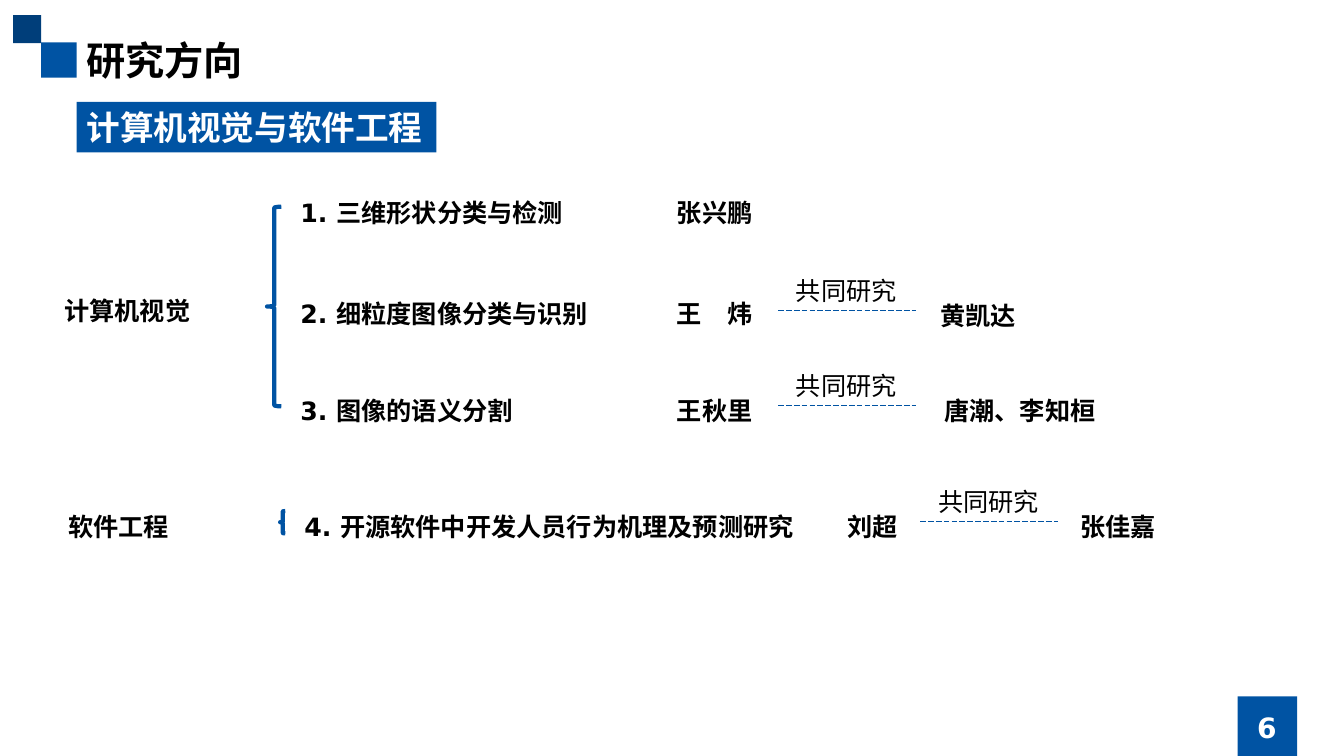
from pptx import Presentation
from pptx.dml.color import RGBColor
from pptx.enum.dml import MSO_LINE
from pptx.enum.shapes import MSO_CONNECTOR, MSO_SHAPE
from pptx.enum.text import MSO_ANCHOR, PP_ALIGN
from pptx.oxml.ns import qn
from pptx.util import Cm, Pt
from lxml.etree import SubElement


def color(code):
    return RGBColor.from_string(code)


class SlideBuilder:
    BLUE = "0053A3"
    NAVY = "003E7A"
    BLACK = "000000"
    WHITE = "FFFFFF"
    FONT = "DejaVu Sans"
    TITLE_FONT = "Noto Sans CJK SC"
    ROW_HEIGHT = 1.24

    def __init__(self, slide):
        self.slide = slide

    def block(self, left, top, width, height, fill):
        block = self.slide.shapes.add_shape(
            MSO_SHAPE.RECTANGLE, Cm(left), Cm(top), Cm(width), Cm(height))
        block.shadow.inherit = False
        block.fill.solid()
        block.fill.fore_color.rgb = color(fill)
        block.line.fill.background()
        return block

    def fill_text(self, holder, words, size, ink, bold=True, font=FONT,
                  align=PP_ALIGN.LEFT, anchor=MSO_ANCHOR.TOP, wrap=True, spacing=None):
        frame = holder.text_frame
        frame.word_wrap = wrap
        frame.vertical_anchor = anchor
        paragraph = frame.paragraphs[0]
        paragraph.text = words
        paragraph.alignment = align
        paragraph.line_spacing = spacing
        paragraph.font.name = font
        paragraph.font.size = Pt(size)
        paragraph.font.bold = bold
        paragraph.font.color.rgb = color(ink)

    def text(self, left, top, width, height, words, size, ink, **style):
        box = self.slide.shapes.add_textbox(Cm(left), Cm(top), Cm(width), Cm(height))
        self.fill_text(box, words, size, ink, **style)

    def label(self, left, top, width, words, bold=True):
        self.text(left, top, width, self.ROW_HEIGHT, words, 18, self.BLACK,
                  bold=bold, spacing=1.3)

    def brace(self, left, top, width, height):
        brace = self.slide.shapes.add_shape(
            MSO_SHAPE.LEFT_BRACE, Cm(left), Cm(top), Cm(width), Cm(height))
        brace.shadow.inherit = False
        brace.fill.background()
        brace.line.color.rgb = color(self.BLUE)
        brace.line.width = Pt(3)

    def joint_research(self, left, top):
        link = self.slide.shapes.add_connector(
            MSO_CONNECTOR.STRAIGHT, Cm(left), Cm(top), Cm(left + 3.47), Cm(top))
        link.line.color.rgb = color(self.BLUE)
        link.line.width = Pt(0.5)
        link.line.dash_style = MSO_LINE.LONG_DASH
        SubElement(link._element.spPr, qn("a:effectLst"))
        self.label(left + 0.2, top - self.ROW_HEIGHT, 3.73, "共同研究", bold=False)


def main():
    deck = Presentation()
    deck.slide_width, deck.slide_height = Cm(33.87), Cm(19.05)
    page = SlideBuilder(deck.slides.add_slide(deck.slide_layouts[6]))

    page.block(1.04, 1.07, 0.89, 0.89, page.BLUE)
    page.block(0.33, 0.38, 0.71, 0.71, page.NAVY)
    page.block(31.19, 17.55, 1.5, 1.5, page.BLUE)
    page.text(1.93, 0.79, 15, 1.45, "研究方向", 28, page.BLACK, font=page.TITLE_FONT)
    page.text(30, 17.81, 3.86, 1.02, "6", 20, page.WHITE,
              align=PP_ALIGN.CENTER, anchor=MSO_ANCHOR.MIDDLE)
    banner = page.block(1.93, 2.57, 9.07, 1.27, page.BLUE)
    page.fill_text(banner, "计算机视觉与软件工程", 24, page.WHITE, wrap=False)

    for field, left, top, width in (("计算机视觉", 1.37, 7.09, 3.76),
                                    ("软件工程", 1.47, 12.52, 3.51)):
        page.label(left, top, width, field)
    page.brace(6.73, 5.21, 0.36, 5.03)
    page.brace(7.06, 12.88, 0.13, 0.56)

    projects = (
        ("1. 三维形状分类与检测", 7.32, 4.62, 7.47, "张兴鹏", 16.81, 2.54),
        ("2. 细粒度图像分类与识别", 7.32, 7.16, 8.46, "王　炜", 16.81, 2.54),
        ("3. 图像的语义分割", 7.32, 9.62, 6.45, "王秋里", 16.81, 2.54),
        ("4. 开源软件中开发人员行为机理及预测研究", 7.42, 12.52, 12.9, "刘超", 21.11, 1.98),
    )
    for topic, left, top, width, leader, leader_left, leader_width in projects:
        page.label(left, top, width, topic)
        page.label(leader_left, top, leader_width, leader)

    partnerships = (
        (19.61, 7.82, "黄凯达", 23.44, 7.21, 2.54),
        (19.61, 10.21, "唐潮、李知桓", 23.55, 9.6, 5.28),
        (23.19, 13.14, "张佳嘉", 26.97, 12.52, 2.54),
    )
    for link_left, link_top, partner, left, top, width in partnerships:
        page.joint_research(link_left, link_top)
        page.label(left, top, width, partner)

    deck.save("out.pptx")


if __name__ == "__main__":
    main()
